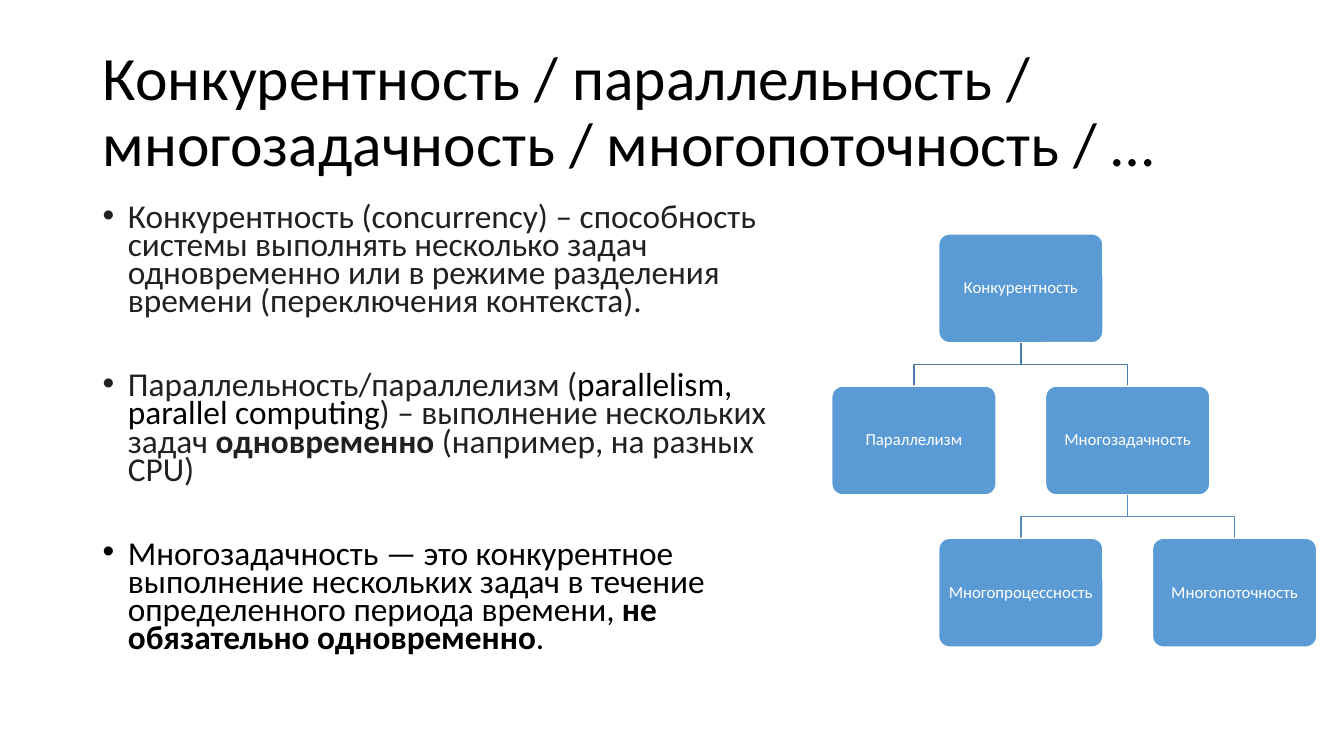
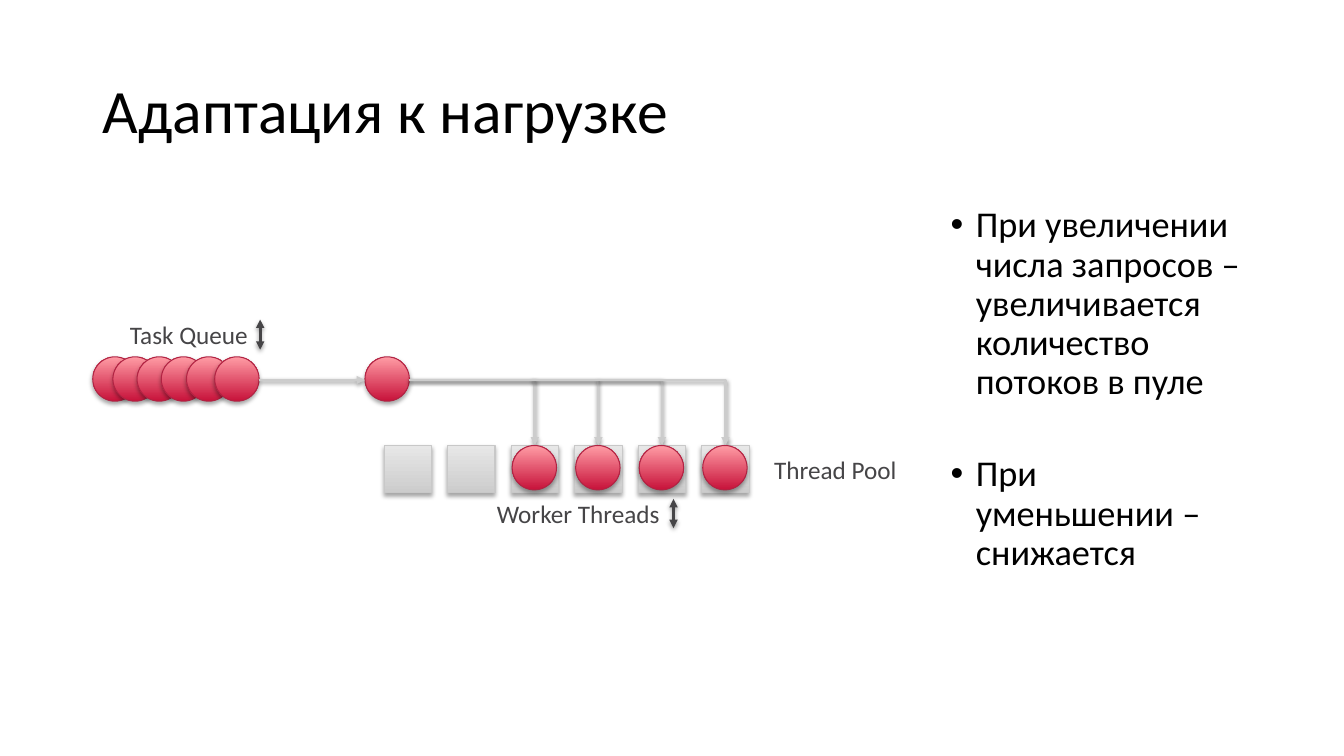
from dataclasses import dataclass
from typing import Any, Optional

from lxml import etree
from pptx import Presentation
from pptx.dml.color import RGBColor
from pptx.enum.shapes import MSO_CONNECTOR, MSO_SHAPE
from pptx.enum.text import MSO_ANCHOR, MSO_AUTO_SIZE, PP_ALIGN
from pptx.oxml.ns import qn
from pptx.shapes.autoshape import Shape
from pptx.slide import Slide
from pptx.util import Inches, Pt

STRAIGHT, ELBOW = MSO_CONNECTOR.STRAIGHT, MSO_CONNECTOR.ELBOW
ROUNDED, SQUARE, CIRCLE = MSO_SHAPE.ROUNDED_RECTANGLE, MSO_SHAPE.RECTANGLE, MSO_SHAPE.OVAL
TOP, MIDDLE = MSO_ANCHOR.TOP, MSO_ANCHOR.MIDDLE
CENTER = PP_ALIGN.CENTER
FIT_SHAPE = MSO_AUTO_SIZE.SHAPE_TO_FIT_TEXT

FONT = "Calibri"
BLACK, WHITE, INK, SLATE = "000000", "FFFFFF", "202122", "464547"
NODE_BLUE, ARROW_GREY = "5B9BD5", "CCCCCC"
BRANCH_BLUES = ("497CAB", "538DC1")

NODE_LEFT, NODE_TOP, NODE_WIDTH, NODE_HEIGHT = 8.25, 2.32, 1.63, 1.08
COLUMN_STEP, ROW_STEP = 1.06, 1.51

TASK, TASK_TOP, TASK_LINE = 0.44, 3.54, 3.77
THREAD, THREAD_LEFT, THREAD_TOP, THREAD_STEP = 0.47, 3.81, 4.42, 0.63


@dataclass(frozen=True)
class Span:
    text: str
    color: str = BLACK
    bold: bool = False


@dataclass(frozen=True)
class Node:
    text: str
    column: int
    row: int
    parent: Optional[int] = None

    @property
    def left(self) -> float:
        return NODE_LEFT + self.column * COLUMN_STEP

    @property
    def top(self) -> float:
        return NODE_TOP + self.row * ROW_STEP

    @property
    def center(self) -> float:
        return self.left + NODE_WIDTH / 2


@dataclass(frozen=True)
class Label:
    text: str
    left: float
    top: float
    width: float


@dataclass(frozen=True)
class Look:
    bottom: str
    top: str
    line: str


RED = Look("C7123A", "FF9CA5", "B12343")
GREY = Look("CCCCCC", "E7E7E7", "C8C8C8")

DEFINITIONS = (
    (Span("Конкурентность (concurrency) – способность системы выполнять несколько задач "
          "одновременно или в режиме разделения времени (переключения контекста).", INK),),
    (Span("Параллельность/параллелизм (", INK),
     Span("parallelism, parallel computing"),
     Span(") – выполнение нескольких задач ", INK),
     Span("одновременно", INK, True),
     Span(" (например, на разных CPU)", INK)),
    (Span("Многозадачность — это конкурентное выполнение нескольких задач в течение "
          "определенного периода времени, "),
     Span("не обязательно одновременно", bold=True),
     Span(".")),
)

LOAD_RULES = (
    (Span("При увеличении числа запросов – увеличивается количество потоков в пуле"),),
    (Span("При уменьшении – снижается"),),
)

NODES = (
    Node("Конкурентность", 1, 0),
    Node("Параллелизм", 0, 1, 0),
    Node("Многозадачность", 2, 1, 0),
    Node("Многопроцессность", 1, 2, 2),
    Node("Многопоточность", 3, 2, 2),
)

LABELS = (
    Label("Task Queue", 1.19, 3.12, 1.38),
    Label("Thread Pool", 7.58, 4.46, 1.43),
    Label("Worker Threads", 4.83, 4.89, 1.83),
)

TASK_LEFTS = (0.92, 1.12, 1.36, 1.6, 1.85, 2.13, 3.62)
ROUTE_STARTS = {2: 4.06, 3: 5.28, 4: 5.93, 5: 4.06}
RANGE_MARKS = ((2.58, 3.17, 3.47), (6.68, 4.95, 5.24))


def paint(value: str) -> RGBColor:
    return RGBColor.from_string(value)


def assign(target: Any, values: dict[str, Any]) -> None:
    for name, value in values.items():
        setattr(target, name, value)


def add_span(para: Any, span: Span, size: float) -> None:
    run = para.add_run()
    run.text = span.text
    assign(run.font, {"name": FONT, "size": Pt(size), "bold": span.bold})
    run.font.color.rgb = paint(span.color)


def add_box(page: Slide, left: float, top: float, width: float, height: float,
            **frame: Any) -> Any:
    box = page.shapes.add_textbox(Inches(left), Inches(top), Inches(width), Inches(height))
    assign(box.text_frame, {"word_wrap": True, "vertical_anchor": TOP, **frame})
    return box.text_frame


def add_title(page: Slide, text: str) -> None:
    para = add_box(page, 0.92, 0.4, 11.5, 1.45, vertical_anchor=MIDDLE).paragraphs[0]
    para.line_spacing = 0.9
    add_span(para, Span(text), 44)


def add_bullets(page: Slide, place: tuple[float, float, float, float],
                items: tuple[tuple[Span, ...], ...], size: float,
                spacing: float, gap: float) -> None:
    frame = add_box(page, *place)
    for index, spans in enumerate(items):
        para = frame.add_paragraph() if index else frame.paragraphs[0]
        properties = para._p.get_or_add_pPr()
        properties.set("marL", str(Inches(0.25)))
        properties.set("indent", str(Inches(-0.25)))
        etree.SubElement(properties, qn("a:buFont"), typeface="Arial")
        etree.SubElement(properties, qn("a:buChar"), char="•")
        assign(para, {"line_spacing": spacing, "space_before": Pt(gap if index else 0)})
        for span in spans:
            add_span(para, span, size)


def add_shadow(shape: Any, opacity: int, distance: float) -> None:
    properties = shape._element.spPr
    effects = properties.find(qn("a:effectLst"))
    if effects is None:
        effects = etree.SubElement(properties, qn("a:effectLst"))
    shadow = etree.SubElement(effects, qn("a:outerShdw"), blurRad=str(Pt(3.1)),
                              dist=str(Pt(distance)), dir="5400000", rotWithShape="0")
    color = etree.SubElement(shadow, qn("a:srgbClr"), val=BLACK)
    etree.SubElement(color, qn("a:alpha"), val=str(opacity * 1000))


def add_preset(page: Slide, kind: Any, left: float, top: float,
               width: float, height: float, line: str, weight: float) -> Shape:
    shape = page.shapes.add_shape(kind, Inches(left), Inches(top),
                                  Inches(width), Inches(height))
    shape.shadow.inherit = False
    shape.line.color.rgb = paint(line)
    shape.line.width = Pt(weight)
    return shape


def add_glossy(page: Slide, kind: Any, left: float, top: float,
               size: float, look: Look) -> None:
    shape = add_preset(page, kind, left, top, size, size, look.line, 0.75)
    shape.fill.gradient()
    shape.fill.gradient_angle = 90
    for stop, color in zip(shape.fill.gradient_stops, (look.bottom, look.top)):
        stop.color.rgb = paint(color)
    add_shadow(shape, 35, 1.8)


def add_arrow(page: Slide, start: tuple[float, float], end: tuple[float, float],
              color: str = ARROW_GREY, bent: bool = False, double: bool = False) -> None:
    arrow = page.shapes.add_connector(ELBOW if bent else STRAIGHT,
                                      *(Inches(value) for value in start + end))
    arrow.line.color.rgb = paint(color)
    arrow.line.width = Pt(2)
    properties = arrow._element.spPr
    if bent:
        properties.find(qn("a:prstGeom")).set("prst", "bentConnector2")
    outline = properties.find(qn("a:ln"))
    for tag in ("a:headEnd", "a:tailEnd") if double else ("a:tailEnd",):
        etree.SubElement(outline, qn(tag), type="triangle")
    add_shadow(arrow, 38, 1.6)


def add_branch(page: Slide, parent: Node, child: Node) -> None:
    bottom = parent.top + NODE_HEIGHT
    bend = (bottom + child.top) / 2
    points = [(Inches(x), Inches(y)) for x, y in (
        (parent.center, bottom), (parent.center, bend),
        (child.center, bend), (child.center, child.top))]
    builder = page.shapes.build_freeform(*points[0])
    builder.add_line_segments(points[1:], close=False)
    branch = builder.convert_to_shape()
    branch.shadow.inherit = False
    branch.fill.background()
    branch.line.color.rgb = paint(BRANCH_BLUES[parent.row])
    branch.line.width = Pt(1)


def add_node(page: Slide, node: Node) -> None:
    shape = add_preset(page, ROUNDED, node.left, node.top, NODE_WIDTH, NODE_HEIGHT, WHITE, 1)
    shape.adjustments[0] = 0.1
    shape.fill.solid()
    shape.fill.fore_color.rgb = paint(NODE_BLUE)
    frame = shape.text_frame
    sides = ("margin_left", "margin_top", "margin_right", "margin_bottom")
    assign(frame, {"word_wrap": True, "vertical_anchor": MIDDLE,
                   **dict.fromkeys(sides, Inches(0.05))})
    para = frame.paragraphs[0]
    assign(para, {"alignment": CENTER, "line_spacing": 0.9})
    add_span(para, Span(node.text, WHITE), 12)


def build_concurrency(page: Slide) -> None:
    add_title(page, "Конкурентность / параллельность / многозадачность / многопоточность / …")
    add_bullets(page, (0.92, 2, 6.99, 4.76), DEFINITIONS, 23.8, 0.7, 40)
    for node in NODES:
        if node.parent is not None:
            add_branch(page, NODES[node.parent], node)
        add_node(page, node)


def build_load(page: Slide) -> None:
    add_title(page, "Адаптация к нагрузке")
    add_bullets(page, (9.33, 2, 3.09, 4.11), LOAD_RULES, 25.9, 0.9, 38)
    for left in TASK_LEFTS:
        add_glossy(page, CIRCLE, left, TASK_TOP, TASK, RED)
    add_arrow(page, (2.57, TASK_LINE), (3.62, TASK_LINE))
    thread_lefts = [THREAD_LEFT + index * THREAD_STEP for index in range(6)]
    for left in thread_lefts:
        add_glossy(page, SQUARE, left, THREAD_TOP, THREAD, GREY)
    for index, start in ROUTE_STARTS.items():
        end = (thread_lefts[index] + THREAD / 2, THREAD_TOP)
        add_arrow(page, (start, TASK_LINE), end, bent=True)
    for index in ROUTE_STARTS:
        add_glossy(page, CIRCLE, thread_lefts[index] + 0.01, THREAD_TOP, TASK, RED)
    for label in LABELS:
        frame = add_box(page, label.left, label.top, label.width, 0.4,
                        word_wrap=False, auto_size=FIT_SHAPE)
        add_span(frame.paragraphs[0], Span(label.text, SLATE), 18)
    for x, top, bottom in RANGE_MARKS:
        add_arrow(page, (x, top), (x, bottom), SLATE, double=True)


def main() -> None:
    deck = Presentation()
    assign(deck, {"slide_width": Inches(13.33), "slide_height": Inches(7.5)})
    for build in (build_concurrency, build_load):
        build(deck.slides.add_slide(deck.slide_layouts[6]))
    deck.save("out.pptx")


if __name__ == "__main__":
    main()
